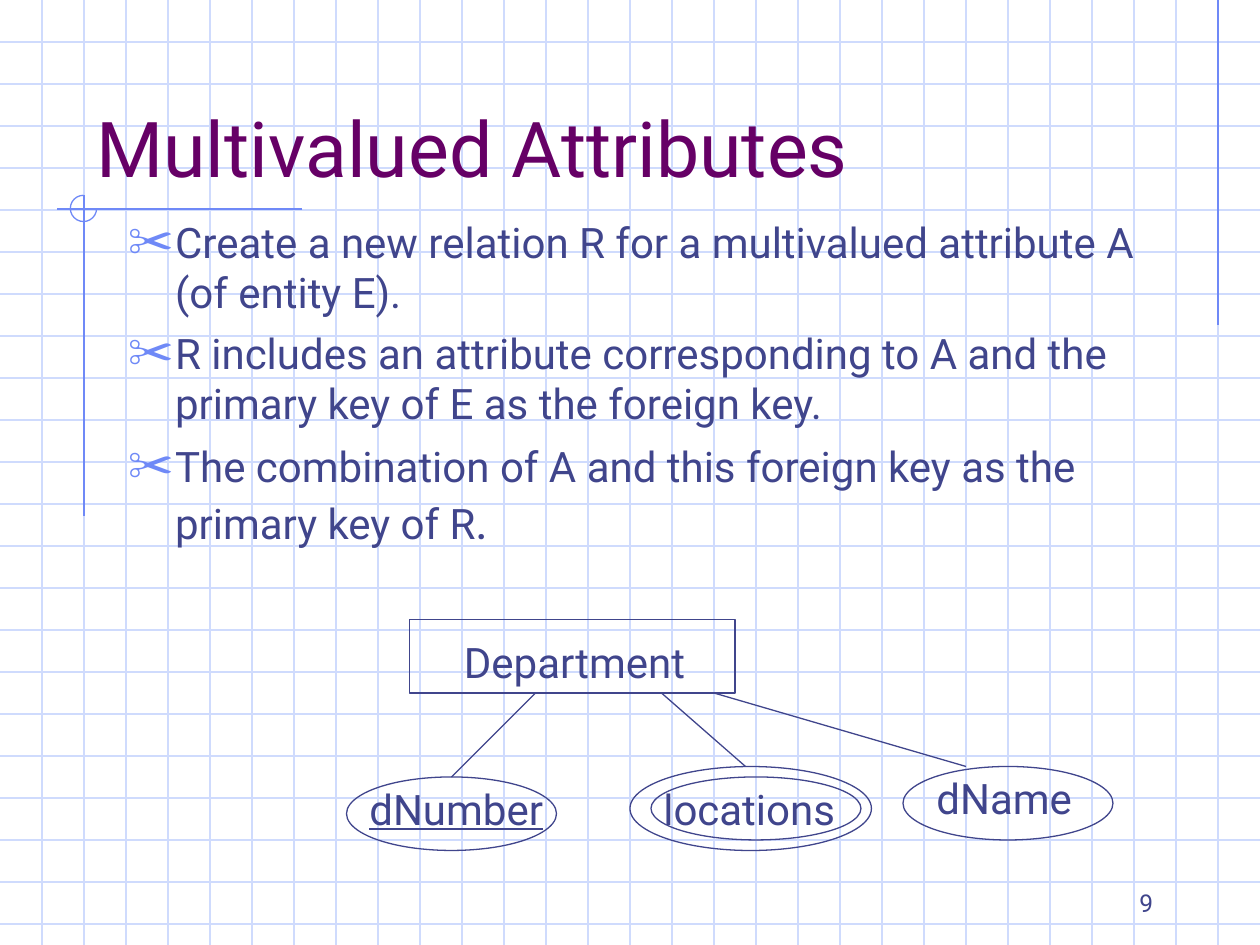
from lxml import etree
from pptx import Presentation
from pptx.dml.color import RGBColor
from pptx.enum.shapes import MSO_CONNECTOR, MSO_SHAPE
from pptx.enum.text import MSO_ANCHOR, PP_ALIGN
from pptx.oxml.ns import qn
from pptx.util import Pt

PX = 7620
WIDTH, HEIGHT = 1200, 900
GRID_STEP = 40
FONT = "Roboto"
COLORS = {"grid": "CFDBFD", "accent": "6F89F7", "ink": "40458C", "title": "660066"}
STRAIGHT = MSO_CONNECTOR.STRAIGHT
RECTANGLE, OVAL, ARC = MSO_SHAPE.RECTANGLE, MSO_SHAPE.OVAL, MSO_SHAPE.ARC
TOP, BOTTOM = MSO_ANCHOR.TOP, MSO_ANCHOR.BOTTOM
LEFT, RIGHT = PP_ALIGN.LEFT, PP_ALIGN.RIGHT

BULLETS = [
    (["Create a new relation R for a multivalued attribute A (of entity E)."], 6),
    (["R includes an attribute corresponding to A and the "
      "primary key of E as the foreign key."], 6),
    (["The combination of A and this foreign key as the primary key of R", "."], 7),
]
ATTRIBUTES = [
    {"name": "dNumber", "oval": (0, 150, 200, 70), "label": (10, 190),
     "link": (180, 100, 150), "key": True},
    {"name": "locations", "oval": (290, 150, 200, 60), "label": (0, 190),
     "link": (300, 380, 140), "ring": (270, 140, 230, 80)},
    {"name": "dName", "oval": (530, 140, 200, 70), "label": (20, 160),
     "link": (350, 590, 140)},
]


def rgb(name):
    """Return the named colour."""
    return RGBColor.from_string(COLORS[name])


def place(box, left, top, width, height):
    """Turn a position inside a box into slide lengths."""
    return (box[0] + left) * PX, (box[1] + top) * PX, width * PX, height * PX


def add_line(slide, box, start, end, color):
    """Draw a thin straight line between two points of a box."""
    ends = [(box[axis] + point[axis]) * PX for point in (start, end) for axis in (0, 1)]
    line = slide.shapes.add_connector(STRAIGHT, *ends)
    line.line.color.rgb = rgb(color)
    line.line.width = Pt(0.75)
    etree.SubElement(line._element.spPr, qn("a:effectLst"))


def add_outline(slide, box, kind, bounds, color):
    """Draw an unfilled preset shape inside a box."""
    outline = slide.shapes.add_shape(kind, *place(box, *bounds))
    outline.shadow.inherit = False
    outline.fill.background()
    outline.line.color.rgb = rgb(color)
    outline.line.width = Pt(0.75)
    return outline


def style(paragraph, size, color):
    """Set the font of a paragraph."""
    paragraph.font.name = FONT
    paragraph.font.size = Pt(size)
    paragraph.font.color.rgb = rgb(color)


def add_frame(slide, bounds, anchor=TOP):
    """Add a wrapping text frame."""
    frame = slide.shapes.add_textbox(*bounds).text_frame
    frame.word_wrap = True
    frame.vertical_anchor = anchor
    return frame


def add_text(slide, bounds, text, size, color="ink", anchor=TOP, align=LEFT):
    """Add a single paragraph of text."""
    paragraph = add_frame(slide, bounds, anchor).paragraphs[0]
    paragraph.text = text
    paragraph.alignment = align
    style(paragraph, size, color)
    return paragraph


def set_bullet(paragraph):
    """Give a paragraph a hanging scissors bullet."""
    properties = paragraph._p.get_or_add_pPr()
    properties.set("marL", str(45 * PX))
    properties.set("indent", str(-45 * PX))
    bullet_color = etree.Element(qn("a:buClr"))
    etree.SubElement(bullet_color, qn("a:srgbClr"), val=COLORS["accent"])
    parts = [
        bullet_color,
        etree.Element(qn("a:buSzPct"), val="110000"),
        etree.Element(qn("a:buFont"), typeface=FONT),
        etree.Element(qn("a:buChar"), char="✂"),
    ]
    for part in parts:
        properties.insert_element_before(part, "a:tabLst", "a:defRPr", "a:extLst")


def add_backdrop(slide, box):
    """Draw the graph paper and its accent lines."""
    width, height = box[2:]
    for y in range(GRID_STEP, height, GRID_STEP):
        add_line(slide, box, (0, y), (width, y), "grid")
    for x in range(GRID_STEP, width, GRID_STEP):
        add_line(slide, box, (x, 0), (x, height), "grid")
    add_line(slide, box, (1160, 0), (1160, 310), "accent")
    add_line(slide, box, (288, 199), (54, 199), "accent")
    add_line(slide, box, (80, 186), (80, 491), "accent")
    arc = add_outline(slide, box, ARC, (67, 186, 25, 25), "accent")
    arc.adjustments[0] = 0
    arc.adjustments[1] = 162


def add_bullets(slide, box):
    """Write the rules for mapping a multivalued attribute."""
    frame = add_frame(slide, place(box, 0, 0, *box[2:]))
    for index, (pieces, gap) in enumerate(BULLETS):
        rule = frame.add_paragraph() if index else frame.paragraphs[0]
        for piece in pieces:
            rule.add_run().text = piece
        rule.space_before = Pt(gap)
        style(rule, 24, "ink")
        set_bullet(rule)
    frame.paragraphs[-1].runs[-1].font.size = Pt(28)


def add_diagram(slide, box):
    """Draw the Department entity with its attributes."""
    add_text(slide, place(box, 100, 10, 240, 108), "Department", 24).space_before = Pt(15)
    add_outline(slide, box, RECTANGLE, (60, 0, 310, 70), "ink")
    for attribute in ATTRIBUTES:
        left, top = attribute["oval"][:2]
        shift, width = attribute["label"]
        link_start, link_end, link_bottom = attribute["link"]
        add_outline(slide, box, OVAL, attribute["oval"], "ink")
        if "ring" in attribute:
            add_outline(slide, box, OVAL, attribute["ring"], "ink")
        label = add_text(slide, place(box, left + shift, top, width, 108),
                         attribute["name"], 24)
        label.space_before = Pt(15)
        if attribute.get("key"):
            label.runs[0].font.underline = True
        add_line(slide, box, (link_start, 70), (link_end, link_bottom), "ink")


def main():
    """Build and save the slide."""
    deck = Presentation()
    deck.slide_width, deck.slide_height = WIDTH * PX, HEIGHT * PX
    slide = deck.slides.add_slide(deck.slide_layouts[6])
    page = (0, 0, WIDTH, HEIGHT)
    add_backdrop(slide, page)
    add_text(slide, place(page, 860, 820, 250, 60), "9", 14, anchor=BOTTOM, align=RIGHT)
    add_text(slide, place(page, 80, 40, 1020, 150), "Multivalued Attributes", 44,
             "title", BOTTOM)
    add_bullets(slide, (110, 200, 1020, 370))
    add_diagram(slide, (330, 590, 730, 258))
    deck.save("out.pptx")


if __name__ == "__main__":
    main()
